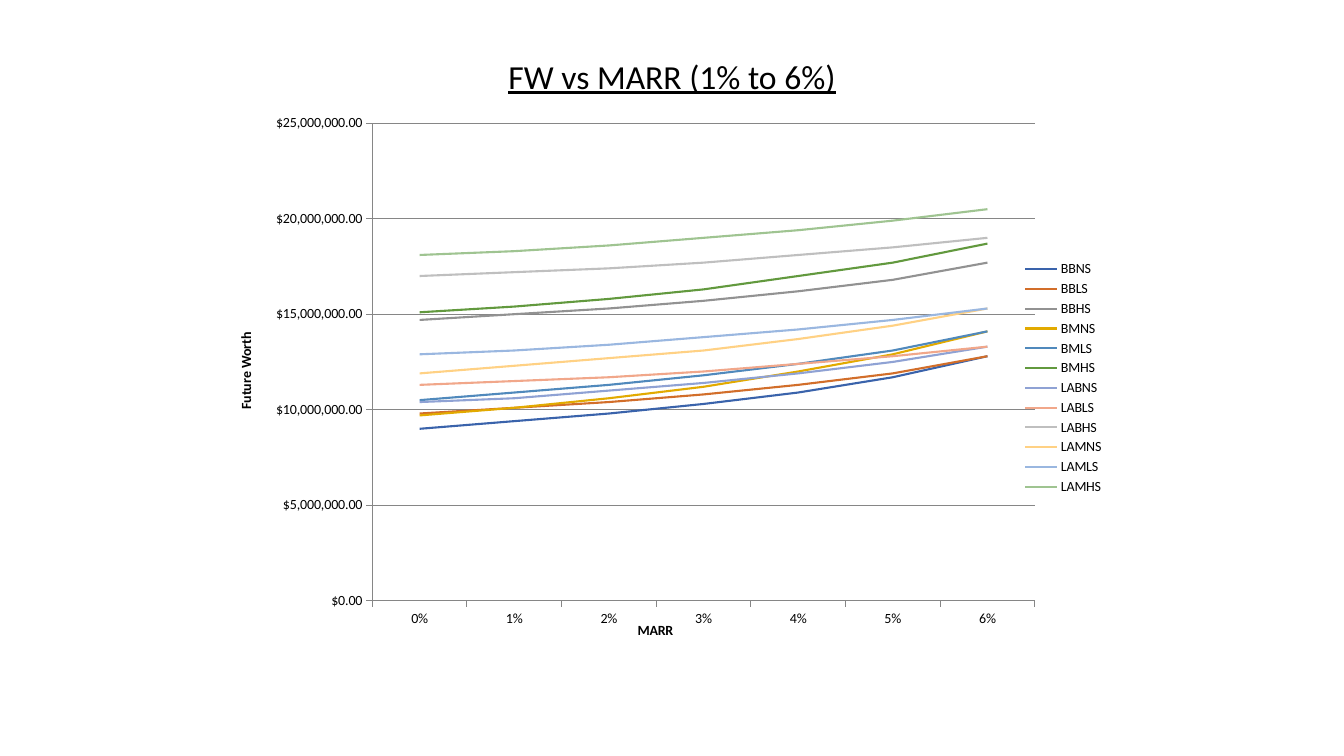
from pptx import Presentation
from pptx.chart.data import CategoryChartData
from pptx.dml.color import RGBColor
from pptx.enum.chart import XL_CHART_TYPE, XL_LEGEND_POSITION, XL_MARKER_STYLE, XL_TICK_MARK
from pptx.enum.text import MSO_ANCHOR, PP_ALIGN
from pptx.oxml import parse_xml
from pptx.oxml.ns import nsdecls
from pptx.util import Pt

BLACK = RGBColor(0x00, 0x00, 0x00)
WHITE = RGBColor(0xFF, 0xFF, 0xFF)
GRAY = RGBColor(0x86, 0x86, 0x86)
LINE_COLORS = [
    RGBColor(0x3A, 0x63, 0xAB), RGBColor(0xD2, 0x6E, 0x2A), RGBColor(0x92, 0x92, 0x92),
    RGBColor(0xE2, 0xAA, 0x00), RGBColor(0x50, 0x89, 0xBC), RGBColor(0x62, 0x99, 0x3E),
    RGBColor(0x8F, 0xA2, 0xD4), RGBColor(0xF1, 0xA7, 0x8A), RGBColor(0xBF, 0xBF, 0xBF),
    RGBColor(0xFF, 0xD1, 0x84), RGBColor(0x9A, 0xB7, 0xE0), RGBColor(0x9F, 0xC4, 0x91),
]

RATES = [rate / 100 for rate in range(7)]
WORTH_IN_MILLIONS = {
    "BBNS": [9.0, 9.4, 9.8, 10.3, 10.9, 11.7, 12.8],
    "BBLS": [9.8, 10.1, 10.4, 10.8, 11.3, 11.9, 12.8],
    "BBHS": [14.7, 15.0, 15.3, 15.7, 16.2, 16.8, 17.7],
    "BMNS": [9.7, 10.1, 10.6, 11.2, 12.0, 12.9, 14.1],
    "BMLS": [10.5, 10.9, 11.3, 11.8, 12.4, 13.1, 14.1],
    "BMHS": [15.1, 15.4, 15.8, 16.3, 17.0, 17.7, 18.7],
    "LABNS": [10.4, 10.6, 11.0, 11.4, 11.9, 12.5, 13.3],
    "LABLS": [11.3, 11.5, 11.7, 12.0, 12.4, 12.8, 13.3],
    "LABHS": [17.0, 17.2, 17.4, 17.7, 18.1, 18.5, 19.0],
    "LAMNS": [11.9, 12.3, 12.7, 13.1, 13.7, 14.4, 15.3],
    "LAMLS": [12.9, 13.1, 13.4, 13.8, 14.2, 14.7, 15.3],
    "LAMHS": [18.1, 18.3, 18.6, 19.0, 19.4, 19.9, 20.5],
}


def write(frame, text, font, size, color=BLACK, bold=False, underline=False):
    paragraph = frame.paragraphs[0]
    paragraph.alignment = PP_ALIGN.CENTER
    run = paragraph.add_run()
    run.text = text
    run.font.name = font
    run.font.size = Pt(size)
    run.font.color.rgb = color
    run.font.bold = bold
    run.font.underline = underline


class WorthSlide:
    font = "Calibri"
    label_size = 10
    line_width = 1.5

    def __init__(self, deck):
        self.slide = deck.slides.add_slide(deck.slide_layouts[5])
        self.slide.background.fill.solid()
        self.slide.background.fill.fore_color.rgb = WHITE

    def title(self, text, left, top, width, height):
        heading = self.slide.shapes.title
        heading.left, heading.top = Pt(left), Pt(top)
        heading.width, heading.height = Pt(width), Pt(height)
        heading.text_frame.vertical_anchor = MSO_ANCHOR.MIDDLE
        write(heading.text_frame, text, self.font, 24, underline=True)

    def line_chart(self, rates, worth, left, top, width, height):
        data = CategoryChartData(number_format='"$"#,##0.00')
        data.categories = rates
        data.categories.number_format = "0%"
        for option, millions in worth.items():
            data.add_series(option, [round(value * 1_000_000) for value in millions])
        chart = self.slide.shapes.add_chart(
            XL_CHART_TYPE.LINE, Pt(left), Pt(top), Pt(width), Pt(height), data).chart
        chart.has_title = False
        chart.font.name = self.font
        chart.font.size = Pt(self.label_size)
        chart.font.color.rgb = BLACK
        chart.plots[0].vary_by_categories = False
        for series, color in zip(chart.plots[0].series, LINE_COLORS):
            series.smooth = False
            series.marker.style = XL_MARKER_STYLE.NONE
            series.format.line.width = Pt(self.line_width)
            series.format.line.color.rgb = color
        chart.has_legend = True
        chart.legend.position = XL_LEGEND_POSITION.RIGHT
        chart.legend.include_in_layout = False
        return chart

    def axis(self, axis, title, number_format):
        write(axis.axis_title.text_frame, title, self.font, self.label_size, bold=True)
        axis.major_tick_mark = XL_TICK_MARK.OUTSIDE
        axis.minor_tick_mark = XL_TICK_MARK.NONE
        axis.tick_labels.number_format = number_format
        axis.tick_labels.number_format_is_linked = False
        axis.format.line.color.rgb = GRAY
        axis.format.line.width = Pt(0.75)

    def grid(self, axis, maximum, step):
        axis.minimum_scale, axis.maximum_scale, axis.major_unit = 0, maximum, step
        axis.has_major_gridlines = True
        axis.major_gridlines.format.line.color.rgb = GRAY
        axis.major_gridlines.format.line.width = Pt(0.75)

    def plot_area(self, chart, **bounds):
        area = chart.plots[0]._element.getparent()
        for old_layout in area.findall("{*}layout"):
            area.remove(old_layout)
        edges = "".join(f'<c:{key} val="{value}"/>' for key, value in bounds.items())
        area.insert(0, parse_xml(
            f'<c:layout {nsdecls("c")}><c:manualLayout><c:layoutTarget val="inner"/>'
            f'<c:xMode val="edge"/><c:yMode val="edge"/>{edges}'
            '</c:manualLayout></c:layout>'))


def main():
    deck = Presentation()
    deck.slide_width, deck.slide_height = Pt(960), Pt(540)
    page = WorthSlide(deck)
    page.title("FW vs MARR (1% to 6%)", 351, 36, 258, 36)
    future_worth = page.line_chart(RATES, WORTH_IN_MILLIONS, 165, 80.5, 631, 379)
    page.axis(future_worth.category_axis, "MARR", "0%")
    page.axis(future_worth.value_axis, "Future Worth", '"$"#,##0.00')
    page.grid(future_worth.value_axis, 25_000_000, 5_000_000)
    page.plot_area(future_worth, x=0.16, y=0.02, w=0.75, h=0.9)
    deck.save("out.pptx")


if __name__ == "__main__":
    main()
